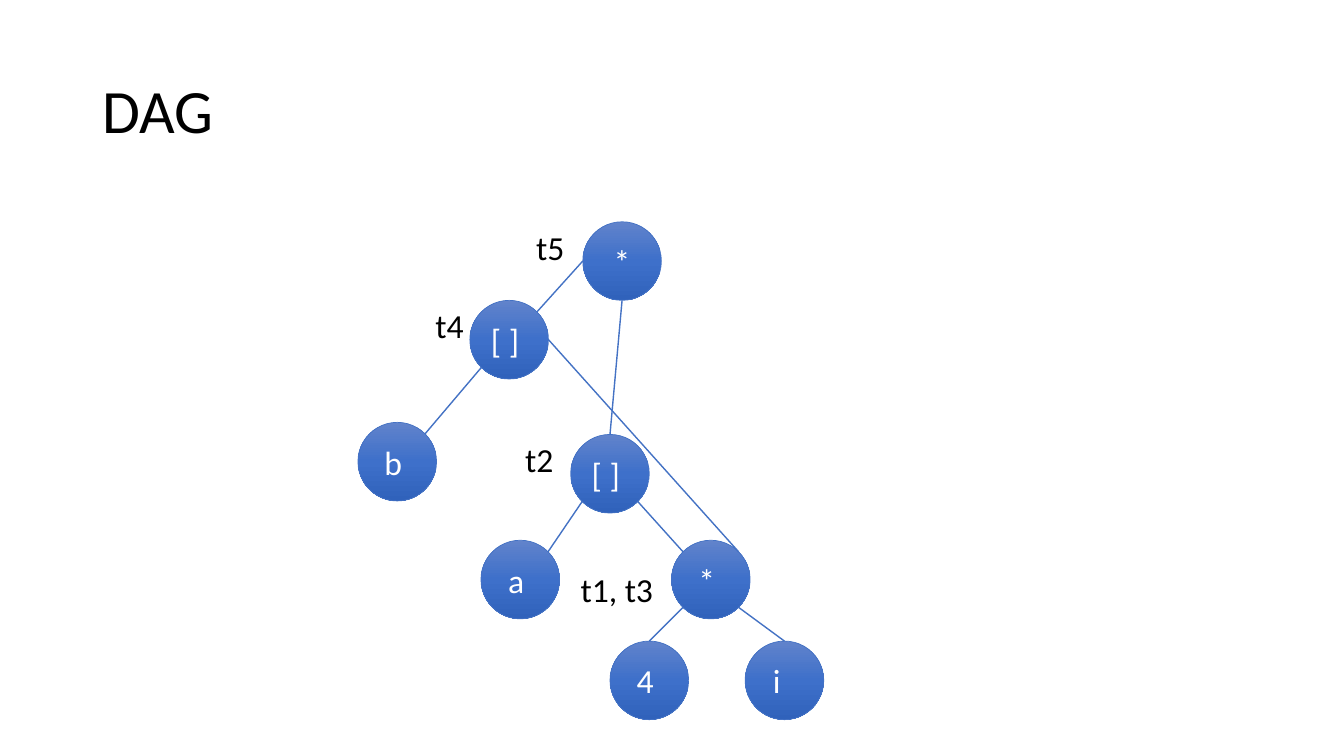
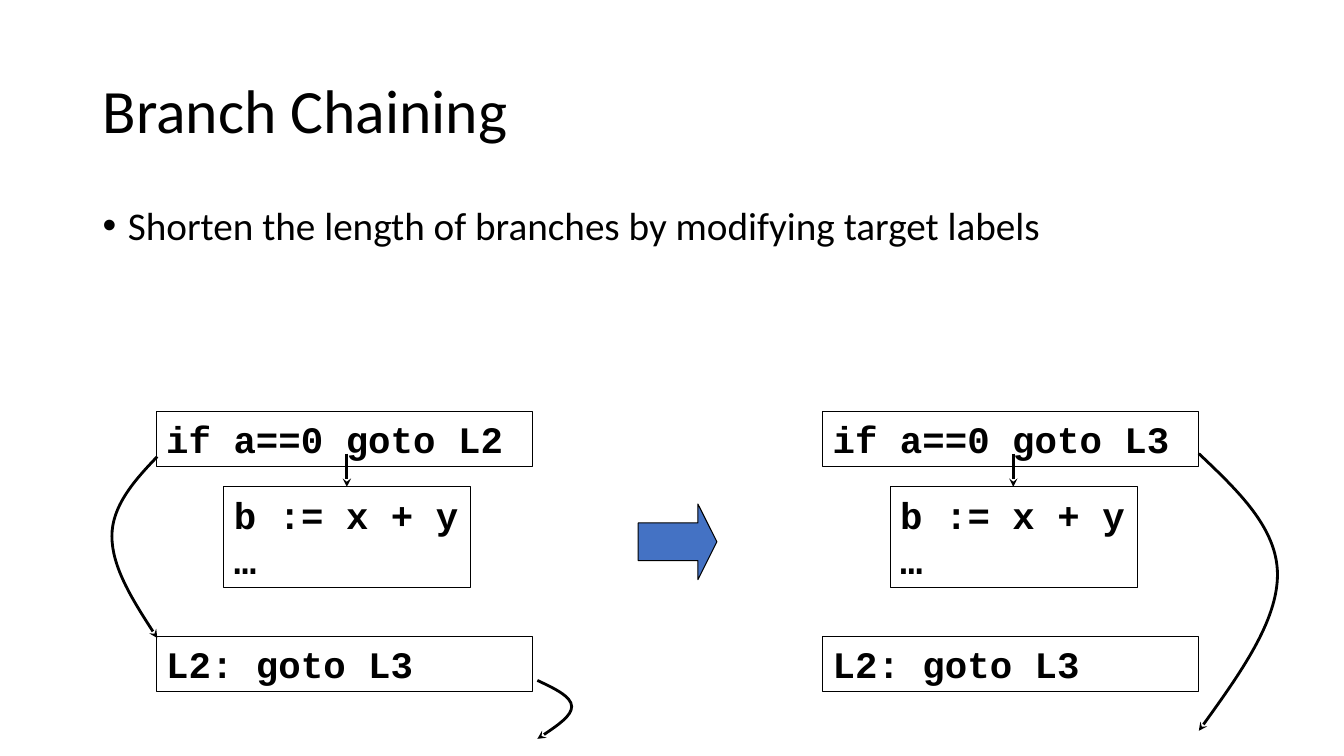
from copy import deepcopy
from math import cos, radians, sin

from lxml.etree import SubElement
from pptx import Presentation
from pptx.dml.color import RGBColor
from pptx.enum.shapes import MSO_CONNECTOR, MSO_SHAPE
from pptx.enum.text import MSO_ANCHOR, PP_ALIGN
from pptx.oxml.ns import qn
from pptx.util import Inches, Pt

BLACK = RGBColor(0x00, 0x00, 0x00)
WHITE = RGBColor(0xFF, 0xFF, 0xFF)
BLUE = RGBColor(0x44, 0x72, 0xC4)
NODE_SHADES = (
    (0, RGBColor(0x61, 0x83, 0xCB)),
    (0.5, RGBColor(0x3E, 0x70, 0xCA)),
    (1, RGBColor(0x30, 0x62, 0xBB)),
)
SANS, MONO = "Calibri", "Courier New"
NODE_SIZE = 0.78
PANEL_STEP = 6.61
COMPASS = {name: index * 45 for index, name in enumerate(("E", "SE", "S", "SW", "W", "NW", "N", "NE"))}


def rim_point(corner, side):
    radius, angle = NODE_SIZE / 2, radians(COMPASS[side])
    return corner[0] + radius * (1 + cos(angle)), corner[1] + radius * (1 + sin(angle))


class Deck:
    """Holds the presentation style and draws on the current slide."""

    def __init__(self):
        self.presentation = Presentation()
        self.presentation.slide_width = Inches(13.33)
        self.presentation.slide_height = Inches(7.5)
        self.slide = None

    def new_slide(self, title):
        self.slide = self.presentation.slides.add_slide(self.presentation.slide_layouts[6])
        heading = self.text(title, 0.92, 0.4, 11.5, 1.45, 44)
        heading.vertical_anchor = MSO_ANCHOR.MIDDLE
        heading.paragraphs[0].line_spacing = 0.9

    def styled_run(self, paragraph, words, size, font=SANS, color=BLACK, bold=False):
        run = paragraph.add_run()
        run.text = words
        run.font.size = Pt(size)
        run.font.name = font
        run.font.bold = bold
        run.font.color.rgb = color

    def text(self, words, left, top, width, height, size):
        frame = self.slide.shapes.add_textbox(
            Inches(left), Inches(top), Inches(width), Inches(height)).text_frame
        frame.word_wrap = True
        self.styled_run(frame.paragraphs[0], words, size)
        return frame

    def bullet(self, words):
        paragraph = self.text(words, 0.92, 2, 11.5, 4.76, 28).paragraphs[0]
        paragraph.line_spacing = 0.9
        properties = paragraph._p.get_or_add_pPr()
        properties.set("marL", str(Inches(0.25)))
        properties.set("indent", str(-Inches(0.25)))
        SubElement(properties, qn("a:buFont"), typeface="Arial")
        SubElement(properties, qn("a:buChar"), char="•")

    def shape(self, kind, left, top, width, height, line=BLACK, weight=0.75):
        outline = self.slide.shapes.add_shape(
            kind, Inches(left), Inches(top), Inches(width), Inches(height))
        outline.shadow.inherit = False
        outline.line.color.rgb = line
        outline.line.width = Pt(weight)
        return outline

    def node(self, words, corner, shift):
        circle = self.shape(MSO_SHAPE.OVAL, *corner, NODE_SIZE, NODE_SIZE, BLUE, 0.5)
        circle.fill.gradient()
        circle.fill.gradient_angle = 270
        stops = circle._element.spPr.find(".//" + qn("a:gsLst"))
        stops.insert(1, deepcopy(stops[0]))
        for stop, (position, shade) in zip(circle.fill.gradient_stops, NODE_SHADES):
            stop.position = position
            stop.color.rgb = shade
        frame = circle.text_frame
        frame.word_wrap = False
        frame.vertical_anchor = MSO_ANCHOR.MIDDLE
        frame.margin_right = Inches(0.1 + shift)
        frame.paragraphs[0].alignment = PP_ALIGN.CENTER
        self.styled_run(frame.paragraphs[0], words, 24, color=WHITE)

    def code_box(self, lines, left, top, width, height):
        box = self.shape(MSO_SHAPE.RECTANGLE, left, top, width, height)
        box.fill.background()
        frame = box.text_frame
        frame.word_wrap = False
        frame.vertical_anchor = MSO_ANCHOR.TOP
        for index, code in enumerate(lines):
            paragraph = frame.add_paragraph() if index else frame.paragraphs[0]
            paragraph.alignment = PP_ALIGN.LEFT
            self.styled_run(paragraph, code, 26.7, MONO, bold=True)

    def line(self, start, end, color=BLUE, weight=1):
        connector = self.slide.shapes.add_connector(
            MSO_CONNECTOR.STRAIGHT, *(Inches(value) for value in (*start, *end)))
        connector.line.color.rgb = color
        connector.line.width = Pt(weight)
        SubElement(connector._element.spPr, qn("a:effectLst"))
        return connector

    def arrowhead(self, stroke):
        SubElement(stroke._element.spPr.find(qn("a:ln")), qn("a:tailEnd"), type="stealth")

    def arrow(self, start, end):
        self.arrowhead(self.line(start, end, BLACK, 2))

    def curved_arrow(self, start, *controls):
        builder = self.slide.shapes.build_freeform(
            Inches(start[0]), Inches(start[1]), scale=1.0)
        builder.add_line_segments([(Inches(x), Inches(y)) for x, y in controls], close=False)
        curve = builder.convert_to_shape()
        curve.shadow.inherit = False
        curve.fill.background()
        curve.line.color.rgb = BLACK
        curve.line.width = Pt(2)
        outline = curve._element.spPr.find(".//" + qn("a:path"))
        segments = outline.findall(qn("a:lnTo"))
        for index in range(0, len(segments), 3):
            bend = SubElement(outline, qn("a:cubicBezTo"))
            for segment in segments[index:index + 3]:
                bend.append(segment[0])
                outline.remove(segment)
        self.arrowhead(curve)


def draw_dag(deck):
    deck.new_slide("DAG")
    nodes = {
        "root": ("*", (5.78, 2.2), 0),
        "outer": ("[ ]", (4.66, 2.98), 0.08),
        "b": ("b", (3.55, 4.19), 0.08),
        "inner": ("[ ]", (5.66, 4.31), 0.08),
        "a": ("a", (4.77, 5.36), 0.08),
        "product": ("*", (6.66, 5.36), 0.08),
        "four": ("4", (6.05, 6.36), 0.08),
        "i": ("i", (7.39, 6.36), 0.15),
    }
    edges = (
        ("root", "W", "outer", "NE"),
        ("root", "S", "inner", "N"),
        ("outer", "SW", "b", "NE"),
        ("outer", "E", "product", "NE"),
        ("inner", "SW", "a", "NE"),
        ("inner", "SE", "product", "NW"),
        ("product", "SW", "four", "N"),
        ("product", "SE", "i", "N"),
    )
    for words, corner, shift in nodes.values():
        deck.node(words, corner, shift)
    for parent, parent_side, child, child_side in edges:
        deck.line(rim_point(nodes[parent][1], parent_side), rim_point(nodes[child][1], child_side))
    for temporary, left, top, width in (
        ("t5", 5.22, 2.2, 0.67),
        ("t4", 4.22, 2.98, 0.66),
        ("t2", 5.11, 4.31, 0.66),
        ("t1, t3", 5.66, 5.59, 1),
    ):
        deck.text(temporary, left, top, width, 0.5, 24)


def draw_branch_chaining(deck):
    deck.new_slide("Branch Chaining")
    deck.bullet("Shorten the length of branches by modifying target labels")
    for panel, target in enumerate(("L2", "L3")):
        left = 1.55 + panel * PANEL_STEP
        deck.code_box(("b := x + y", "…"), left + 0.67, 4.83, 2.45, 1)
        deck.code_box((f"if a==0 goto {target}",), left, 4.08, 3.73, 0.55)
        deck.code_box(("L2: goto L3",), left, 6.31, 3.73, 0.55)
        deck.arrow((left + 1.89, 4.5), (left + 1.89, 4.83))

    chaining = deck.shape(MSO_SHAPE.RIGHT_ARROW, 6.33, 5, 0.78, 0.75)
    chaining.adjustments[1] = 0.25
    chaining.fill.solid()
    chaining.fill.fore_color.rgb = BLUE

    deck.curved_arrow((1.56, 4.53), (1.33, 4.77), (1.11, 5.02), (1.11, 5.32),
                      (1.11, 5.62), (1.33, 5.98), (1.56, 6.33))
    deck.curved_arrow((5.33, 6.75), (5.5, 6.83), (5.67, 6.91), (5.67, 7.01),
                      (5.67, 7.1), (5.5, 7.22), (5.33, 7.33))
    deck.curved_arrow((11.89, 4.5), (12.28, 4.87), (12.67, 5.24), (12.67, 5.7),
                      (12.67, 6.16), (12.28, 6.71), (11.89, 7.25))


def main():
    deck = Deck()
    draw_dag(deck)
    draw_branch_chaining(deck)
    deck.presentation.save("out.pptx")


if __name__ == "__main__":
    main()
